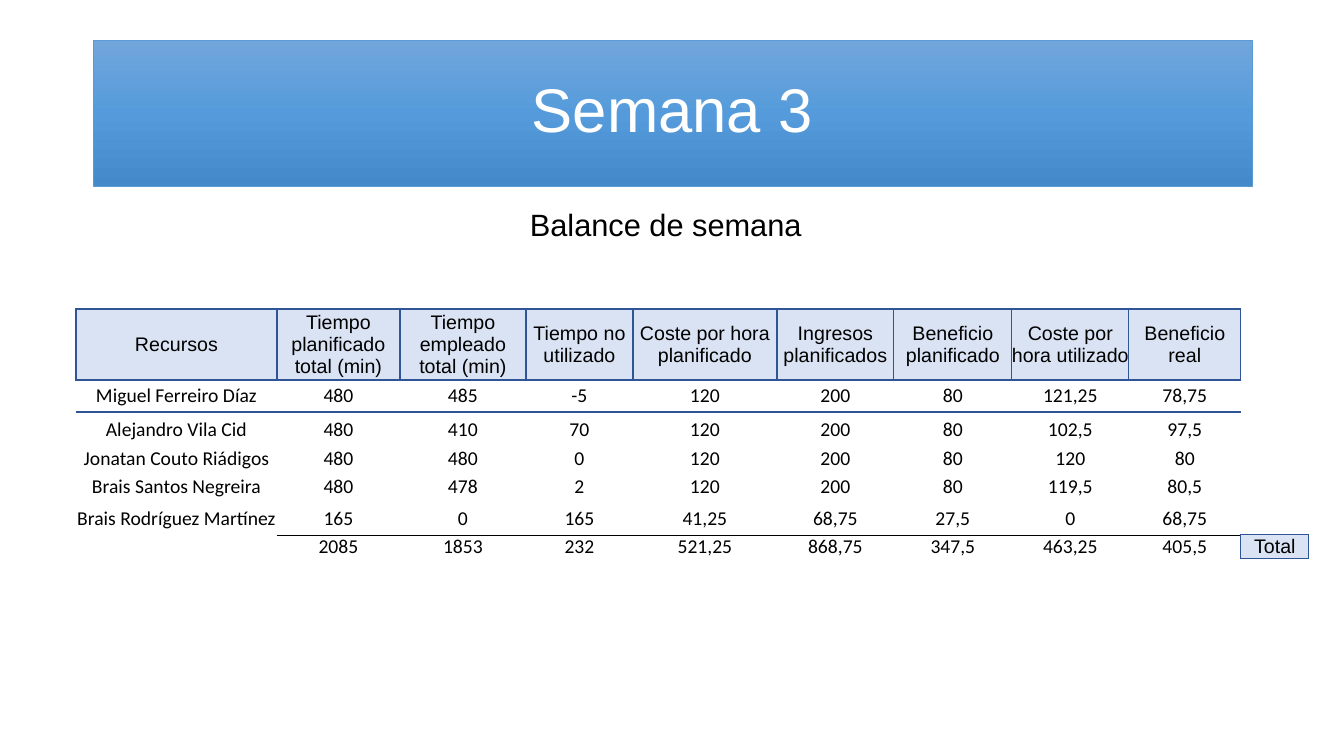
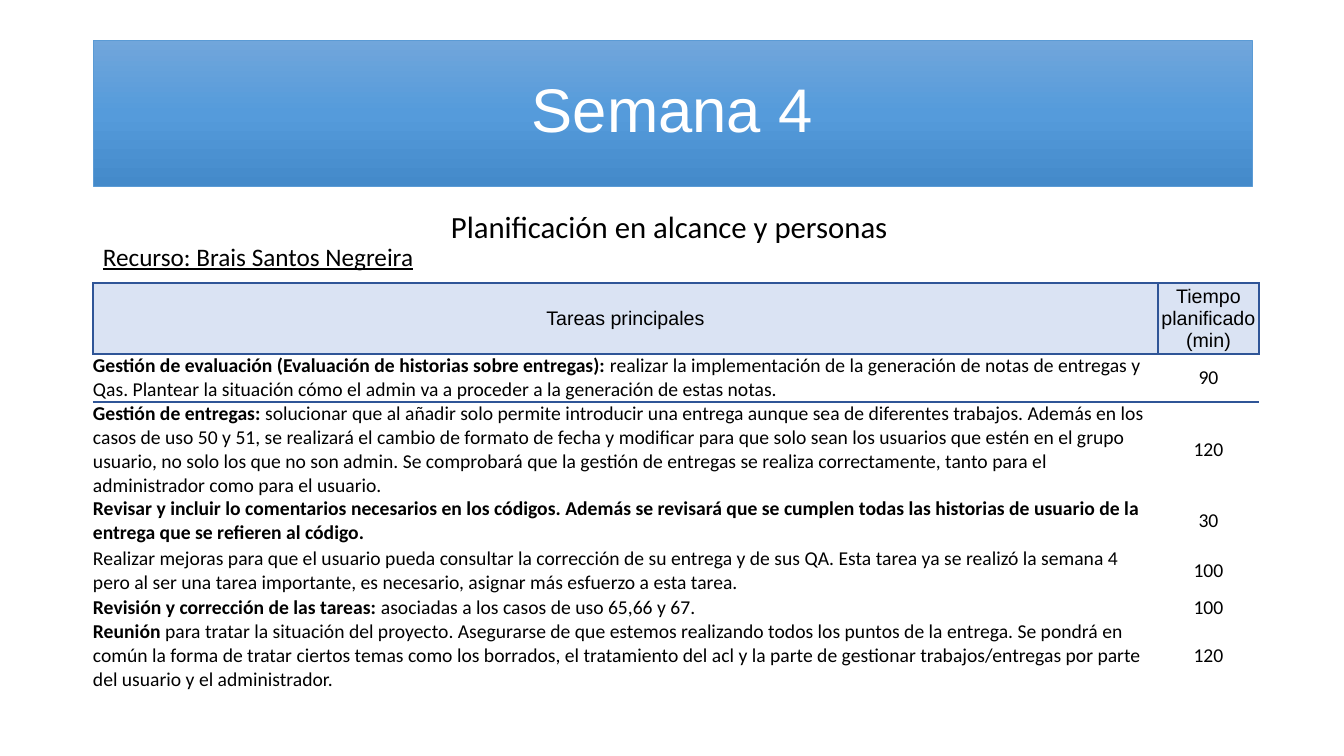
from copy import deepcopy
from dataclasses import dataclass

from lxml.etree import SubElement
from pptx import Presentation
from pptx.dml.color import RGBColor
from pptx.enum.text import MSO_ANCHOR as Anchor, MSO_AUTO_SIZE as AutoSize, PP_ALIGN as Align
from pptx.oxml.ns import qn
from pptx.util import Emu, Pt

EMU_PER_PX = 914400 / 100.8
TITLE_ONLY = 5
NO_GRID_STYLE = "{2D5ABB26-0587-4C30-8999-92F81FD0307C}"
EDGES = "LRTB"


@dataclass(frozen=True)
class Theme:
    black: str = "000000"
    white: str = "FFFFFF"
    header_fill: str = "DAE3F3"
    header_line: str = "2F5597"
    banner_line: str = "5B9BD5"
    banner_stops: tuple = ((0, "71A6DB"), (0.5, "559BDB"), (1, "448ACA"))
    heading_font: str = "Arial"
    body_font: str = "Calibri"
    title_size: int = 44
    subtitle_size: int = 22
    resource_size: int = 18
    table_size: int = 14


THEME = Theme()

# Slide content
BALANCE_HEADERS = (
    "Recursos", "Tiempo planificado total (min)", "Tiempo empleado total (min)",
    "Tiempo no utilizado", "Coste por hora planificado", "Ingresos planificados",
    "Beneficio planificado", "Coste por hora utilizado", "Beneficio real", "",
)
BALANCE_ROWS = (
    ("Miguel Ferreiro Díaz", "480", "485", "-5", "120", "200", "80", "121,25", "78,75", ""),
    ("Alejandro Vila Cid", "480", "410", "70", "120", "200", "80", "102,5", "97,5", ""),
    ("Jonatan Couto Riádigos", "480", "480", "0", "120", "200", "80", "120", "80", ""),
    ("Brais Santos Negreira", "480", "478", "2", "120", "200", "80", "119,5", "80,5", ""),
    ("Brais Rodríguez Martínez", "165", "0", "165", "41,25", "68,75", "27,5", "0", "68,75", ""),
    ("", "2085", "1853", "232", "521,25", "868,75", "347,5", "463,25", "405,5", "Total"),
)
BALANCE_WIDTHS = (201, 123, 126, 107, 144, 117, 118, 117, 112, 68)
BALANCE_HEIGHTS = (71, 32, 35, 24, 32, 32, 24)

TASK_HEADERS = ("Tareas principales", "Tiempo planificado (min)")
# Each task: bold lead, plain description, minutes
TASKS = (
    ("Gestión de evaluación (Evaluación de historias sobre entregas):",
     " realizar la implementación de la generación de notas de entregas y Qas. Plantear la "
     "situación cómo el admin va a proceder a la generación de estas notas.", "90"),
    ("Gestión de entregas: ",
     "solucionar que al añadir solo permite introducir una entrega aunque sea de diferentes "
     "trabajos. Además en los casos de uso 50 y 51, se realizará el cambio de formato de fecha "
     "y modificar para que solo sean los usuarios que estén en el grupo usuario, no solo los "
     "que no son admin. Se comprobará que la gestión de entregas se realiza correctamente, "
     "tanto para el administrador como para el usuario.", "120"),
    ("Revisar y incluir lo comentarios necesarios en los códigos. Además se revisará que se "
     "cumplen todas las historias de usuario de la entrega que se refieren al código.",
     "", "30"),
    ("", "Realizar mejoras para que el usuario pueda consultar la corrección de su entrega y de "
     "sus QA. Esta tarea ya se realizó la semana 4 pero al ser una tarea importante, es "
     "necesario, asignar más esfuerzo a esta tarea.", "100"),
    ("Revisión y corrección de las tareas: ",
     "asociadas a los casos de uso 65,66 y 67.", "100"),
    ("Reunión",
     " para tratar la situación del proyecto. Asegurarse de que estemos realizando todos los "
     "puntos de la entrega. Se pondrá en común la forma de tratar ciertos temas como los "
     "borrados, el tratamiento del acl y la parte de gestionar trabajos/entregas por parte del "
     "usuario y el administrador.", "120"),
)
TASK_WIDTHS = (1065, 101)
TASK_HEIGHTS = (71, 48, 95, 48, 51, 24, 71)


def px(length):
    return Emu(round(length * EMU_PER_PX))


def rgb(code):
    return RGBColor.from_string(code)


def write(frame, text, *, size, font=THEME.body_font, color=THEME.black,
          align=Align.LEFT, underline=None, spacing=None):
    """Write one paragraph; text is a string or a list of (text, bold) parts."""
    paragraph = frame.paragraphs[0]
    paragraph.alignment = align
    if spacing:
        paragraph.line_spacing = spacing
    parts = [(text, False)] if isinstance(text, str) else text
    parts = [part for part in parts if part[0]]
    for words, bold in parts:
        run = paragraph.add_run()
        run.text = words
        run.font.size = Pt(size)
        run.font.name = font
        run.font.bold = bold
        run.font.underline = underline
        run.font.color.rgb = rgb(color)
    if not parts:  # keeps an empty cell as low as its row
        SubElement(paragraph._p, qn("a:endParaRPr"), sz=str(size * 100))


def fill_banner(banner):
    banner.fill.gradient()
    banner.fill.gradient_angle = 270
    stop_list = banner._element.spPr.find(qn("a:gradFill")).find(qn("a:gsLst"))
    stop_list.insert(1, deepcopy(stop_list[0]))
    for stop, (position, color) in zip(banner.fill.gradient_stops, THEME.banner_stops):
        stop.position = position
        stop.color.rgb = rgb(color)
    banner.line.color.rgb = rgb(THEME.banner_line)
    banner.line.width = Pt(0.5)


def add_week_slide(deck, title):
    slide = deck.slides.add_slide(deck.slide_layouts[TITLE_ONLY])
    banner = slide.shapes.title
    banner.left, banner.top, banner.width, banner.height = map(px, (93, 40, 1159, 146))
    fill_banner(banner)
    frame = banner.text_frame
    frame.auto_size = AutoSize.NONE
    frame.word_wrap = True
    frame.vertical_anchor = Anchor.MIDDLE
    write(frame, title, size=THEME.title_size, font=THEME.heading_font,
          color=THEME.white, align=Align.CENTER, spacing=0.9)
    return slide


def add_label(slide, text, box, wrap=True, **text_format):
    frame = slide.shapes.add_textbox(*map(px, box)).text_frame
    frame.word_wrap = wrap
    frame.auto_size = AutoSize.SHAPE_TO_FIT_TEXT
    write(frame, text, **text_format)


def add_grid(slide, left, top, widths, heights):
    grid = slide.shapes.add_table(len(heights), len(widths), px(left), px(top),
                                  px(sum(widths)), px(sum(heights))).table
    grid.first_row = grid.horz_banding = False
    grid._tbl.tblPr.find(qn("a:tableStyleId")).text = NO_GRID_STYLE
    for column, width in zip(grid.columns, widths):
        column.width = px(width)
    for row, height in zip(grid.rows, heights):
        row.height = px(height)
    return grid


def add_borders(cell, edges, color=THEME.header_line, width=1):
    properties = cell._tc.get_or_add_tcPr()
    for edge in edges:
        earlier = [qn(f"a:ln{e}") for e in EDGES[:EDGES.index(edge)]]
        place = sum(child.tag in earlier for child in properties)
        line = SubElement(properties, qn(f"a:ln{edge}"), w=str(Pt(width)))
        SubElement(SubElement(line, qn("a:solidFill")), qn("a:srgbClr"), val=color)
        properties.insert(place, line)


def fill_cell(cell, text, fill=None, side_margin=0, align=Align.CENTER,
              font=THEME.body_font):
    cell.margin_left = cell.margin_right = px(side_margin)
    cell.margin_top = cell.margin_bottom = 0
    cell.vertical_anchor = Anchor.MIDDLE
    if fill:
        cell.fill.solid()
        cell.fill.fore_color.rgb = rgb(fill)
    else:
        cell.fill.background()
    write(cell.text_frame, text, size=THEME.table_size, font=font, align=align)


def fill_header_cell(cell, text):
    fill_cell(cell, text, fill=THEME.header_fill, font=THEME.heading_font)
    add_borders(cell, EDGES)


def fill_header(grid, labels):
    for column, label in enumerate(labels):
        if label:
            fill_header_cell(grid.cell(0, column), label)
            add_borders(grid.cell(1, column), "T")
        else:
            fill_cell(grid.cell(0, column), "")
            add_borders(grid.cell(0, column), "L")


def add_balance_table(slide):
    grid = add_grid(slide, 76, 309, BALANCE_WIDTHS, BALANCE_HEIGHTS)
    fill_header(grid, BALANCE_HEADERS)
    total_row, total_column = len(BALANCE_ROWS), len(BALANCE_HEADERS) - 1
    for row, values in enumerate(BALANCE_ROWS, start=1):
        for column, value in enumerate(values):
            cell = grid.cell(row, column)
            if (row, column) == (total_row, total_column):
                fill_header_cell(cell, value)
            elif column == 0 and value:
                fill_cell(cell, value, fill=THEME.white)
            else:
                fill_cell(cell, value, side_margin=3)
    # Rule above the totals, and the edges shared with the total label
    for column in range(1, total_column):
        add_borders(grid.cell(total_row - 1, column), "B", THEME.black, 0.5)
        add_borders(grid.cell(total_row, column), "T", THEME.black, 0.5)
    add_borders(grid.cell(total_row, total_column - 1), "R")
    add_borders(grid.cell(total_row - 1, total_column), "B")


def add_task_table(slide):
    grid = add_grid(slide, 93, 283, TASK_WIDTHS, TASK_HEIGHTS)
    fill_header(grid, TASK_HEADERS)
    for row, (lead, description, minutes) in enumerate(TASKS, start=1):
        fill_cell(grid.cell(row, 0), [(lead, True), (description, False)], align=Align.LEFT)
        fill_cell(grid.cell(row, 1), minutes)


def main():
    deck = Presentation()
    deck.slide_width, deck.slide_height = px(1344), px(756)

    # Week 3: balance
    balance = add_week_slide(deck, "Semana 3")
    add_label(balance, "Balance de semana", (520, 201, 295, 47), wrap=False,
              size=THEME.subtitle_size, font=THEME.heading_font)
    add_balance_table(balance)

    # Week 4: planned tasks
    planning = add_week_slide(deck, "Semana 4")
    add_label(planning, "Planificación en alcance y personas", (441, 203, 461, 47),
              size=THEME.subtitle_size)
    add_label(planning, "Recurso: Brais Santos Negreira", (93, 236, 370, 40),
              size=THEME.resource_size, underline=True)
    add_task_table(planning)

    deck.save("out.pptx")


main()
